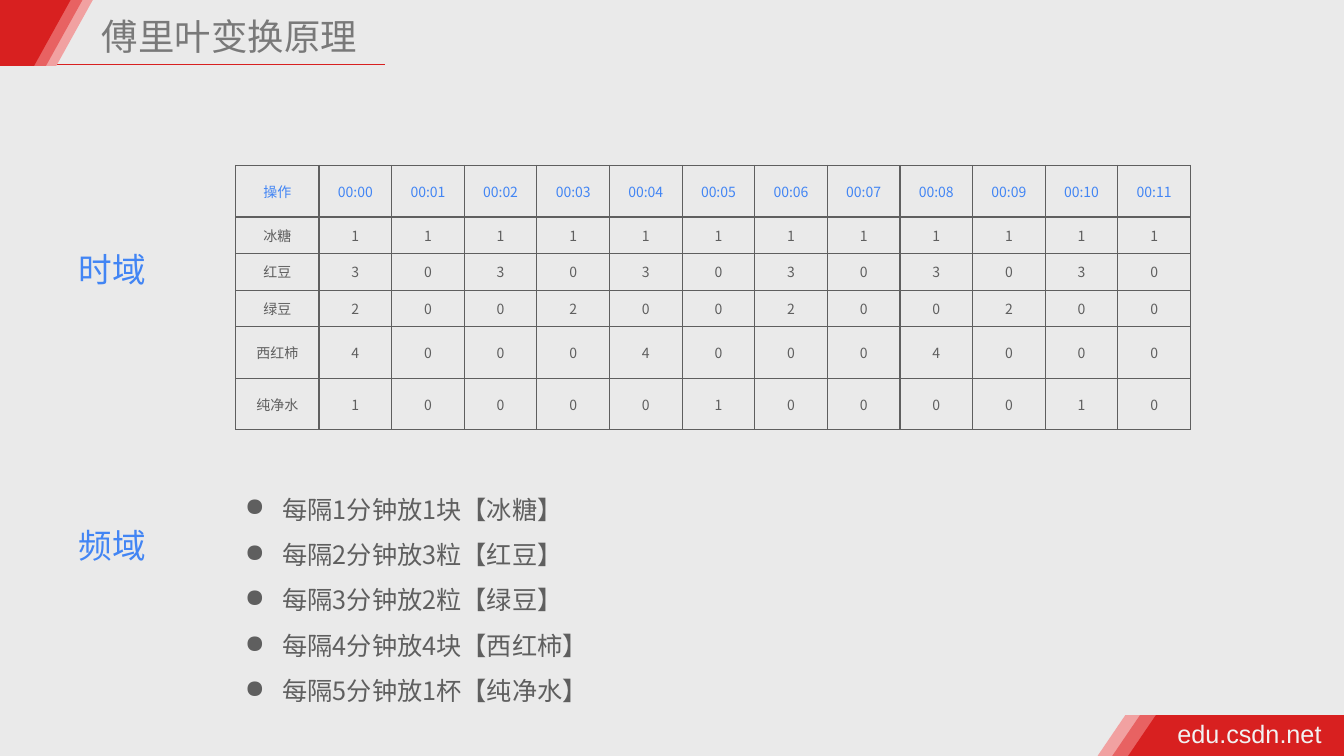
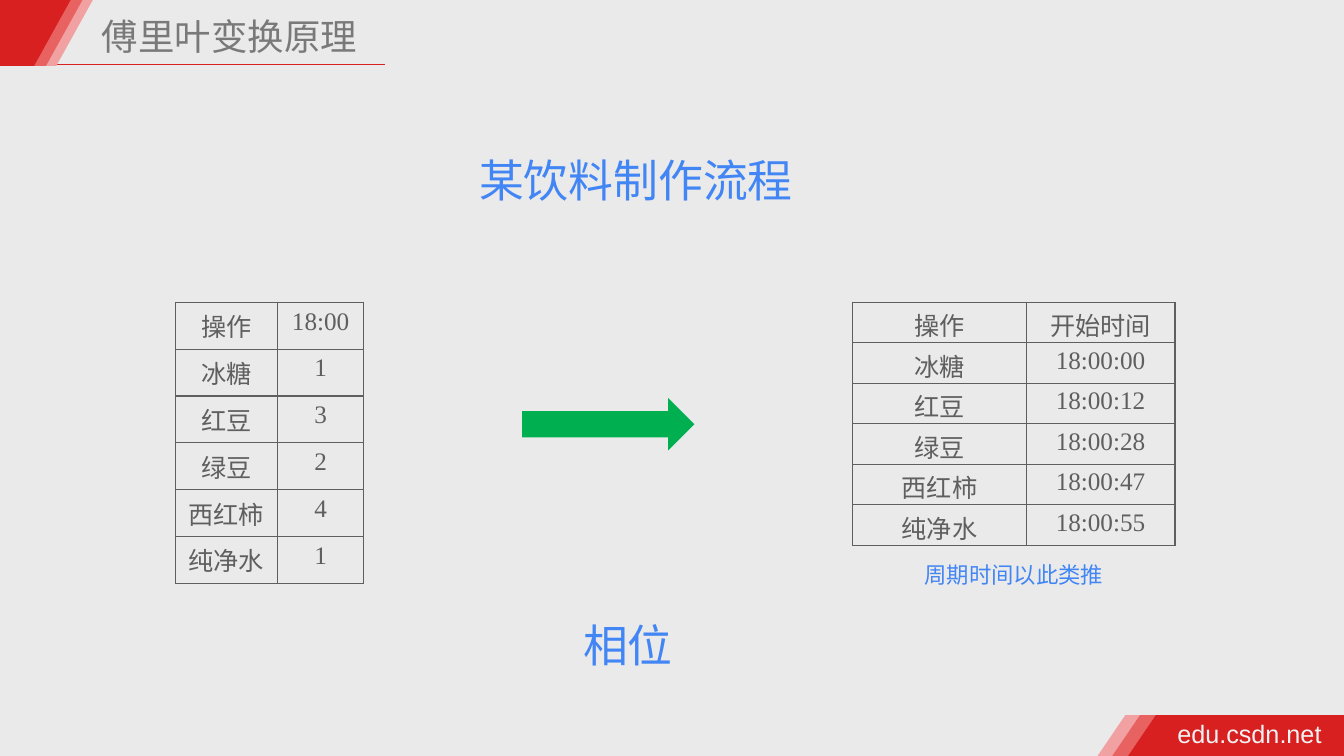
from dataclasses import dataclass

from lxml import etree
from pptx import Presentation
from pptx.dml.color import RGBColor
from pptx.enum.shapes import MSO_CONNECTOR, MSO_SHAPE
from pptx.enum.text import MSO_ANCHOR, PP_ALIGN
from pptx.oxml.ns import qn
from pptx.util import Cm, Pt

LEFT, CENTER, JUST = PP_ALIGN.LEFT, PP_ALIGN.CENTER, PP_ALIGN.JUSTIFY
TOP, MIDDLE = MSO_ANCHOR.TOP, MSO_ANCHOR.MIDDLE
ARROW = MSO_SHAPE.RIGHT_ARROW
STRAIGHT = MSO_CONNECTOR.STRAIGHT

COLORS = {
    "paper": "EAEAEA",
    "red": "D82020",
    "coral": "E86262",
    "pink": "F1A1A1",
    "title": "797979",
    "text": "5F5F5F",
    "blue": "4285F4",
    "green": "00B050",
    "pale": "F2F2F2",
}
SANS = "Noto Sans CJK SC"
SERIF = "Times New Roman"
WIDE, HIGH = 33.87, 19.05
TITLE = "傅里叶变换原理"


@dataclass
class Band:
    color: str
    head: float
    foot: float


@dataclass
class Label:
    text: str
    left: float
    top: float
    width: float
    height: float
    size: float
    color: str = "blue"
    font: str = SANS
    align: PP_ALIGN = CENTER
    pad: tuple[float, float] = (0.25, 0.13)


@dataclass
class Grid:
    left: float
    top: float
    cols: list[float]
    rows: list[float]
    cells: list[list[str]]
    size: float
    font: str
    pad: tuple[float, float, float, float]
    anchor: MSO_ANCHOR = TOP
    head: str = "text"


@dataclass
class Item:
    name: str
    dose: int
    unit: str
    gap: int
    start: str


BANDS = [
    Band("pink", 2.34, 28.36),
    Band("coral", 2.08, 28.73),
    Band("red", 1.78, 29.13),
]
ITEMS = [
    Item("冰糖", 1, "块", 1, "18:00:00"),
    Item("红豆", 3, "粒", 2, "18:00:12"),
    Item("绿豆", 2, "粒", 3, "18:00:28"),
    Item("西红柿", 4, "块", 4, "18:00:47"),
    Item("纯净水", 1, "杯", 5, "18:00:55"),
]


def tint(name: str) -> RGBColor:
    return RGBColor.from_string(COLORS[name])


def paint(shape, color: str) -> None:
    shape.shadow.inherit = False
    shape.fill.solid()
    shape.fill.fore_color.rgb = tint(color)
    shape.line.fill.background()


def write(para, text: str, size: float, color: str, font: str) -> None:
    run = para.add_run()
    run.text = text
    run.font.size = Pt(size)
    run.font.name = font
    run.font.color.rgb = tint(color)
    asian = etree.SubElement(run._r.get_or_add_rPr(), qn("a:ea"))
    asian.set("typeface", SANS)


def inset(frame, pad: tuple[float, float, float, float]) -> None:
    (frame.margin_left, frame.margin_top,
     frame.margin_right, frame.margin_bottom) = map(Cm, pad)


def add_label(slide, spec_: Label):
    box = slide.shapes.add_textbox(
        Cm(spec_.left), Cm(spec_.top), Cm(spec_.width), Cm(spec_.height))
    frame = box.text_frame
    frame.word_wrap = False
    inset(frame, spec_.pad * 2)
    para = frame.paragraphs[0]
    para.alignment = spec_.align
    write(para, spec_.text, spec_.size, spec_.color, spec_.font)
    return box


def add_band(slide, color: str, points: list[tuple[float, float]]):
    first, *rest = [(Cm(x), Cm(y)) for x, y in points]
    form = slide.shapes.build_freeform(*first)
    form.add_line_segments(rest)
    band = form.convert_to_shape()
    paint(band, color)
    return band


def dress(layout, slide) -> None:
    layout.background.fill.solid()
    layout.background.fill.fore_color.rgb = tint("paper")
    tree = layout.shapes.element
    for holder in list(layout.placeholders):
        if holder.placeholder_format.idx:
            tree.remove(holder.element)
    rule = slide.shapes.add_connector(
        STRAIGHT, Cm(1.24), Cm(1.63), Cm(9.7), Cm(1.63))
    rule.line.color.rgb = tint("red")
    rule.line.width = Pt(1)
    etree.SubElement(rule.element.spPr, qn("a:effectLst"))
    parts = [rule]
    for band in BANDS:
        x, y = band.head, 1.66
        parts.append(add_band(
            slide, band.color, [(0, 0), (x, 0), (x - 0.92, y), (0, y)]))
        x, y = band.foot, 18.02
        parts.append(add_band(
            slide, band.color,
            [(x, y), (WIDE, y), (WIDE, HIGH), (x - 0.7, HIGH)]))
    parts.append(add_label(slide, Label(
        "edu.csdn.net", 29.54, 17.98, 3.94, 1.02, 18,
        "pale", "Arial", LEFT, (0.13, 0.13))))
    for part in parts:
        tree.append(part.element)


def add_title(slide) -> None:
    title = slide.shapes.title
    title.left, title.top = Cm(2.44), Cm(0.13)
    title.width, title.height = Cm(9.8), Cm(1.42)
    frame = title.text_frame
    frame.vertical_anchor = MIDDLE
    inset(frame, (0.13,) * 4)
    para = frame.paragraphs[0]
    para.alignment = LEFT
    para.line_spacing = 1.1
    write(para, TITLE, 26, "title", SANS)


def edge(cell) -> None:
    props = cell._tc.get_or_add_tcPr()
    for side in ("lnL", "lnR", "lnT", "lnB"):
        line = etree.SubElement(props, qn(f"a:{side}"), w=str(Pt(1)))
        fill = etree.SubElement(line, qn("a:solidFill"))
        etree.SubElement(fill, qn("a:srgbClr"), val=COLORS["text"])


def add_grid(slide, grid: Grid) -> None:
    table = slide.shapes.add_table(
        len(grid.rows), len(grid.cols), Cm(grid.left), Cm(grid.top),
        Cm(sum(grid.cols)), Cm(sum(grid.rows))).table
    table.first_row = table.horz_banding = False
    for col, width in zip(table.columns, grid.cols):
        col.width = Cm(width)
    for row, height in zip(table.rows, grid.rows):
        row.height = Cm(height)
    for r, line in enumerate(grid.cells):
        for c, text in enumerate(line):
            cell = table.cell(r, c)
            edge(cell)
            cell.fill.background()
            inset(cell, grid.pad)
            cell.vertical_anchor = grid.anchor
            para = cell.text_frame.paragraphs[0]
            para.alignment = CENTER
            color = "text" if r else grid.head
            write(para, text, grid.size, color, grid.font)


def add_list(slide, lines: list[str]) -> None:
    box = slide.shapes.add_textbox(Cm(5.92), Cm(11.94), Cm(16.97), Cm(5.9))
    frame = box.text_frame
    frame.word_wrap = True
    for n, text in enumerate(lines):
        para = frame.add_paragraph() if n else frame.paragraphs[0]
        props = para._p.get_or_add_pPr()
        props.set("marL", str(Cm(0.95)))
        props.set("indent", str(-Cm(0.95)))
        etree.SubElement(props, qn("a:buChar"), char="●")
        para.alignment = JUST
        para.line_spacing = Pt(32.4)
        write(para, text, 18, "text", SANS)


def fill_times(slide) -> None:
    span = range(12)
    cells = [["操作"] + [f"00:{m:02}" for m in span]]
    for item in ITEMS:
        doses = [0 if m % item.gap else item.dose for m in span]
        cells.append([item.name, *map(str, doses)])
    add_grid(slide, Grid(
        5.94, 4.17, [2.1] + [1.83] * len(span),
        [1.3, 0.92, 0.92, 0.92, 1.3, 1.3], cells, 10, SANS,
        (0.4, 0.2, 0.4, 0.2), MIDDLE, "blue"))
    add_list(slide, [
        f"每隔{i.gap}分钟放{i.dose}{i.unit}【{i.name}】" for i in ITEMS])
    for text, top in (("时域", 6.15), ("频域", 13.1)):
        add_label(slide, Label(text, 1.12, top, 3.43, 1.27, 24))


def fill_phase(slide) -> None:
    count = len(ITEMS) + 1
    doses = [["操作", "18:00"]] + [[i.name, str(i.dose)] for i in ITEMS]
    starts = [["操作", "开始时间"]] + [[i.name, i.start] for i in ITEMS]
    add_grid(slide, Grid(
        4.42, 7.62, [2.57, 2.18], [1.18] * count, doses, 18, SERIF,
        (0.25, 0.13, 0.25, 0.13)))
    add_grid(slide, Grid(
        21.49, 7.62, [4.37, 3.75], [1.02] * count, starts, 18, SERIF,
        (0.25, 0.1, 0.25, 0)))
    arrow = slide.shapes.add_shape(
        ARROW, Cm(13.16), Cm(10.03), Cm(4.34), Cm(1.32))
    paint(arrow, "green")
    for label in (
        Label("某饮料制作流程", 11.79, 3.71, 8.48, 1.63, 32),
        Label("周期时间以此类推", 23.01, 14, 5.08, 0.94, 16),
        Label("相位", 14.43, 15.44, 2.79, 1.63, 32),
    ):
        add_label(slide, label)


def main() -> None:
    deck = Presentation()
    deck.slide_width, deck.slide_height = Cm(WIDE), Cm(HIGH)
    layout = deck.slide_layouts[5]
    for n, fill in enumerate((fill_times, fill_phase)):
        slide = deck.slides.add_slide(layout)
        if not n:
            dress(layout, slide)
        add_title(slide)
        fill(slide)
    deck.save("out.pptx")


if __name__ == "__main__":
    main()
